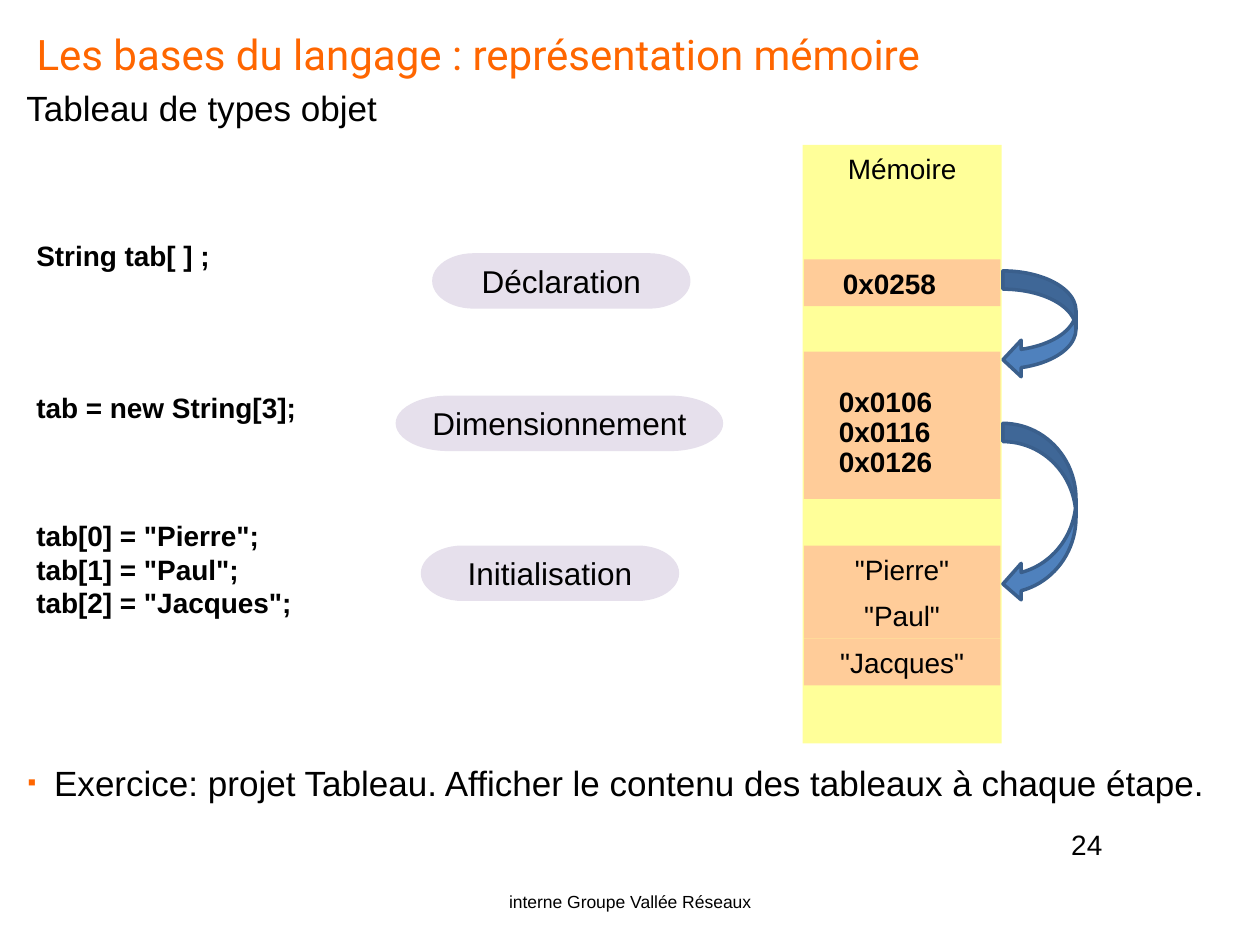
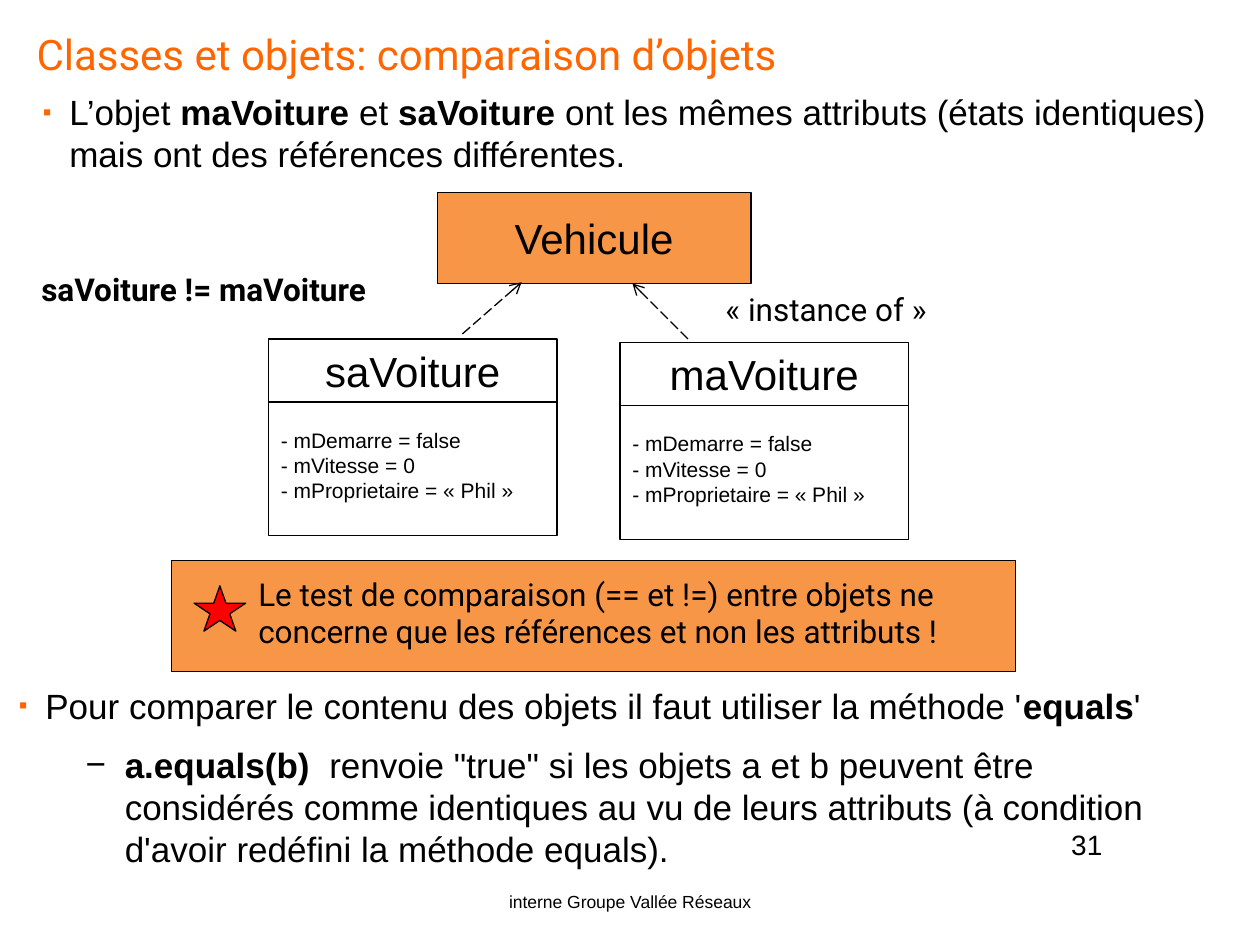
"""Build two Java course slides: object arrays in memory and object comparison."""
import dataclasses
import typing

import lxml.etree
import pptx
import pptx.dml.color
import pptx.enum.dml
import pptx.enum.shapes
import pptx.enum.text
import pptx.oxml.ns
import pptx.util

SLIDE_WIDTH = pptx.util.Inches(10)
SLIDE_HEIGHT = pptx.util.Inches(7.5)
GRID_COLUMNS, GRID_ROWS = 100, 75
COLORS = {
    "title": "FF6600", "text": "000000", "memory": "FFFF99", "cell": "FFCC99",
    "step": "E6E0EC", "arrow": "4F81BD", "arrow_line": "3A5F8C",
    "class": "F79646", "star": "FF0000", "line": "000000",
}
BODY_FONT, TITLE_FONT = "Arial", "Roboto"
SHAPES = pptx.enum.shapes.MSO_SHAPE
ALIGN = pptx.enum.text.PP_ALIGN
ANCHOR = pptx.enum.text.MSO_ANCHOR
QUALIFY = pptx.oxml.ns.qn
FOOTER = "interne Groupe Vallée Réseaux"
ATTRIBUTES = "- mDemarre = false\n- mVitesse = 0\n- mProprietaire = «\u00a0Phil\u00a0»"


@dataclasses.dataclass(frozen=True)
class Box:
    """Hold a place on the slide in grid columns and rows."""
    left: float
    top: float
    width: float
    height: float

    def lengths(self) -> tuple[int, int, int, int]:
        """Return the place as slide lengths."""
        return across(self.left), down(self.top), across(self.width), down(self.height)


@dataclasses.dataclass(frozen=True)
class Bullet:
    """Describe a list marker and its indent in grid columns."""
    symbol: str
    color: str
    percent: int
    margin: float
    hanging: float


@dataclasses.dataclass(frozen=True)
class Step:
    """Describe one stage of the array's life and its code."""
    name: str
    box: Box
    code: str
    code_box: Box


@dataclasses.dataclass(frozen=True)
class Instance:
    """Describe one object of the class diagram."""
    name: str
    left: float
    top: float
    arrow: tuple[float, float, float, float]


SQUARE = Bullet("▪", "title", 70, 2.1, 2.1)
DASH = Bullet("−", "text", 100, 8.4, 3.1)
STEPS = [
    Step("Déclaration", Box(34.3, 20.1, 20.5, 4.4),
         "String tab[ ] ;", Box(1.9, 18.4, 28, 3.7)),
    Step("Dimensionnement", Box(31.4, 31.4, 26, 4.4),
         "tab = new String[3];", Box(1.9, 26, 28, 12.7)),
    Step("Initialisation", Box(33.4, 43.3, 20.5, 4.4),
         'tab[0] = "Pierre";\ntab[1] = "Paul";\ntab[2] = "Jacques";',
         Box(1.9, 38.8, 28, 12.7)),
]
INSTANCES = [
    Instance("saVoiture", 21.3, 26.9, (36.7, 26.5, 41.4, 22.4)),
    Instance("maVoiture", 49.2, 27.2, (54.6, 26.9, 50.2, 22.5)),
]


def across(columns: float) -> int:
    """Turn grid columns into a length."""
    return round(SLIDE_WIDTH * columns / GRID_COLUMNS)


def down(rows: float) -> int:
    """Turn grid rows into a length."""
    return round(SLIDE_HEIGHT * rows / GRID_ROWS)


def rgb(name: str) -> pptx.dml.color.RGBColor:
    """Look up a named colour."""
    return pptx.dml.color.RGBColor.from_string(COLORS[name])


def add_bullet(paragraph: typing.Any, bullet: Bullet) -> None:
    """Give a paragraph a marker and a hanging indent."""
    properties = paragraph._p.get_or_add_pPr()
    properties.set("marL", str(across(bullet.margin)))
    properties.set("indent", str(-across(bullet.hanging)))
    color = lxml.etree.SubElement(properties, QUALIFY("a:buClr"))
    lxml.etree.SubElement(color, QUALIFY("a:srgbClr"), val=COLORS[bullet.color])
    lxml.etree.SubElement(properties, QUALIFY("a:buSzPct"), val=str(bullet.percent * 1000))
    lxml.etree.SubElement(properties, QUALIFY("a:buFont"), typeface=BODY_FONT)
    lxml.etree.SubElement(properties, QUALIFY("a:buChar"), char=bullet.symbol)


def write(shape: typing.Any, text: str, *, size: float = 16, font: str = BODY_FONT,
          color: str = "text", bold: bool = False, align: typing.Any = ALIGN.LEFT,
          anchor: typing.Any = ANCHOR.TOP, inset: tuple[float, float] = (1, 0.5),
          bullets: typing.Sequence[Bullet] = (), space_after: float = 0,
          line_spacing: float = 1.0) -> None:
    """Write lines of text in a shape, with bold parts between asterisks."""
    frame = shape.text_frame
    frame.word_wrap = True
    frame.auto_size = pptx.enum.text.MSO_AUTO_SIZE.NONE
    frame.vertical_anchor = anchor
    frame.margin_left, frame.margin_top = across(inset[0]), down(inset[1])
    frame.margin_right, frame.margin_bottom = across(min(inset[0], 1)), down(min(inset[1], 0.5))
    for index, line in enumerate(text.split("\n")):
        paragraph = frame.add_paragraph() if index else frame.paragraphs[0]
        paragraph.alignment = align
        paragraph.space_before = pptx.util.Pt(0)
        paragraph.space_after = pptx.util.Pt(space_after)
        paragraph.line_spacing = line_spacing
        if bullets:
            add_bullet(paragraph, bullets[index])
        for part, words in enumerate(line.split("*")):
            if words:
                run = paragraph.add_run()
                run.text = words
                run.font.name = font
                run.font.size = pptx.util.Pt(size)
                run.font.bold = bold or part % 2 == 1
                run.font.color.rgb = rgb(color)


def add_text(slide: typing.Any, box: Box, text: str, **text_format: typing.Any) -> None:
    """Add a text box."""
    write(slide.shapes.add_textbox(*box.lengths()), text, **text_format)


def add_block(slide: typing.Any, kind: typing.Any, box: Box, fill: str = "", line: str = "",
              line_width: float = 0.75) -> typing.Any:
    """Add a flat preset shape."""
    shape = slide.shapes.add_shape(kind, *box.lengths())
    shape.shadow.inherit = False
    if fill:
        shape.fill.solid()
        shape.fill.fore_color.rgb = rgb(fill)
    else:
        shape.fill.background()
    if line:
        shape.line.color.rgb = rgb(line)
        shape.line.width = pptx.util.Pt(line_width)
    else:
        shape.line.fill.background()
    return shape


def add_dashed_arrow(slide: typing.Any, ends: tuple[float, float, float, float]) -> None:
    """Add a dashed line with an open arrowhead at its end."""
    left, top, right, bottom = ends
    connector = slide.shapes.add_connector(
        pptx.enum.shapes.MSO_CONNECTOR.STRAIGHT,
        across(left), down(top), across(right), down(bottom))
    connector.line.color.rgb = rgb("line")
    connector.line.width = pptx.util.Pt(0.75)
    connector.line.dash_style = pptx.enum.dml.MSO_LINE.LONG_DASH
    properties = connector._element.spPr
    lxml.etree.SubElement(properties.find(QUALIFY("a:ln")), QUALIFY("a:tailEnd"), type="arrow")
    lxml.etree.SubElement(properties, QUALIFY("a:effectLst"))


def add_slide(presentation: typing.Any, title: str, number: int) -> typing.Any:
    """Add a slide with its title, footer and number."""
    slide = presentation.slides.add_slide(presentation.slide_layouts[5])
    heading = slide.shapes.title
    heading.left, heading.top, heading.width, heading.height = Box(2.9, 2.3, 94.3, 5.4).lengths()
    write(heading, title, size=24, font=TITLE_FONT, color="title", inset=(0, 0))
    add_text(slide, Box(35, 70.2, 30, 2.6), FOOTER, size=10, align=ALIGN.CENTER)
    add_text(slide, Box(83.3, 66.2, 5.9, 5.1), str(number), align=ALIGN.CENTER,
             inset=(0, 0), line_spacing=0.8)
    return slide


def build_memory_slide(presentation: typing.Any) -> None:
    """Show how an array of objects lies in memory."""
    slide = add_slide(presentation, "Les bases du langage : représentation mémoire", 24)
    add_text(slide, Box(2.1, 6.9, 94.1, 4), "Tableau de types objet", size=20, inset=(0, 0))
    add_text(slide, Box(2.2, 60.4, 95, 4),
             "Exercice: projet Tableau. Afficher le contenu des tableaux à chaque étape.",
             size=20, inset=(0, 0), bullets=[SQUARE])
    for step in STEPS:
        add_text(slide, step.code_box, step.code, bold=True, anchor=ANCHOR.MIDDLE)
        pill = add_block(slide, SHAPES.FLOWCHART_TERMINATOR, step.box, "step")
        write(pill, step.name, size=18, align=ALIGN.CENTER, anchor=ANCHOR.MIDDLE, inset=(0, 0.5))

    memory = add_block(slide, SHAPES.RECTANGLE, Box(63.7, 11.5, 15.8, 47.5), "memory")
    write(memory, "Mémoire", align=ALIGN.CENTER)
    cell_left, cell_width, cell_height = 63.8, 15.6, 3.7
    reference = add_block(slide, SHAPES.RECTANGLE,
                          Box(cell_left, 20.6, cell_width, cell_height), "cell")
    write(reference, "0x0258", bold=True, anchor=ANCHOR.MIDDLE, inset=(3.1, 0.5))
    add_block(slide, SHAPES.RECTANGLE, Box(cell_left, 27.9, cell_width, 11.7), "cell")
    for index, address in enumerate(["0x0106", "0x0116", "0x0126"]):
        add_text(slide, Box(65.6, 30 + 2.4 * index, 12.3, cell_height), address,
                 bold=True, anchor=ANCHOR.MIDDLE)
    for index, value in enumerate(['"Pierre"', '"Paul"', '"Jacques"']):
        cell = add_block(slide, SHAPES.RECTANGLE,
                         Box(cell_left, 43.3 + cell_height * index, cell_width, cell_height), "cell")
        write(cell, value, align=ALIGN.CENTER, anchor=ANCHOR.MIDDLE)
    for top, height in [(33.6, 14.2), (21.5, 8.5)]:
        add_block(slide, SHAPES.CURVED_LEFT_ARROW, Box(79.6, top, 5.8, height),
                  "arrow", "arrow_line", 2)


def add_instance(slide: typing.Any, instance: Instance) -> None:
    """Draw an object with its attributes and the arrow to its class."""
    width, header_height = 22.9, 5
    header = add_block(slide, SHAPES.RECTANGLE,
                       Box(instance.left, instance.top, width, header_height), line="line")
    write(header, instance.name, size=24, align=ALIGN.CENTER, anchor=ANCHOR.MIDDLE)
    body = add_block(slide, SHAPES.RECTANGLE,
                     Box(instance.left, instance.top + header_height, width, 10.6), line="line")
    write(body, ATTRIBUTES, size=12, inset=(1, 2))
    add_dashed_arrow(slide, instance.arrow)


def build_comparison_slide(presentation: typing.Any) -> None:
    """Show that comparing objects compares references."""
    slide = add_slide(presentation, "Classes et objets: comparaison d’objets", 31)
    add_text(slide, Box(3.4, 7.2, 94.1, 6.6),
             "L’objet *maVoiture *et *saVoiture *ont les mêmes attributs (états identiques) "
             "mais ont des références différentes.",
             size=20, inset=(0, 0), bullets=[SQUARE])
    vehicle = add_block(slide, SHAPES.RECTANGLE, Box(34.7, 15.3, 24.9, 7.2), "class", "line")
    write(vehicle, "Vehicule", size=24, align=ALIGN.CENTER, anchor=ANCHOR.MIDDLE)
    for instance in INSTANCES:
        add_instance(slide, instance)
    add_text(slide, Box(56.6, 22.5, 21, 4), "«\u00a0instance of\u00a0»", size=18, font=TITLE_FONT)
    add_text(slide, Box(2.3, 20.9, 33.3, 4), "saVoiture != maVoiture",
             size=18, font=TITLE_FONT, bold=True)
    warning = add_block(slide, SHAPES.RECTANGLE, Box(13.6, 44.5, 67, 8.8), "class", "line")
    write(warning, "Le test de comparaison (== et !=) entre objets ne concerne que "
          "les références et non les attributs !", size=18, font=TITLE_FONT, inset=(6.9, 1.1))
    add_block(slide, SHAPES.STAR_5_POINT, Box(15.4, 46.5, 4.1, 3.6), "star", "line")
    add_text(slide, Box(1.5, 54.3, 94.1, 15.2),
             "Pour comparer le contenu des objets il faut utiliser la méthode '*equals*'\n"
             "*a.equals(b)*\u00a0 renvoie \"true\" si les objets a et b peuvent être considérés "
             "comme identiques au vu de leurs attributs (à condition d'avoir redéfini "
             "la méthode equals).",
             size=20, inset=(0, 0), bullets=[SQUARE, DASH], space_after=10)


def main() -> None:
    """Build and save the presentation."""
    presentation = pptx.Presentation()
    presentation.slide_width, presentation.slide_height = SLIDE_WIDTH, SLIDE_HEIGHT
    build_memory_slide(presentation)
    build_comparison_slide(presentation)
    presentation.save("out.pptx")


if __name__ == "__main__":
    main()
